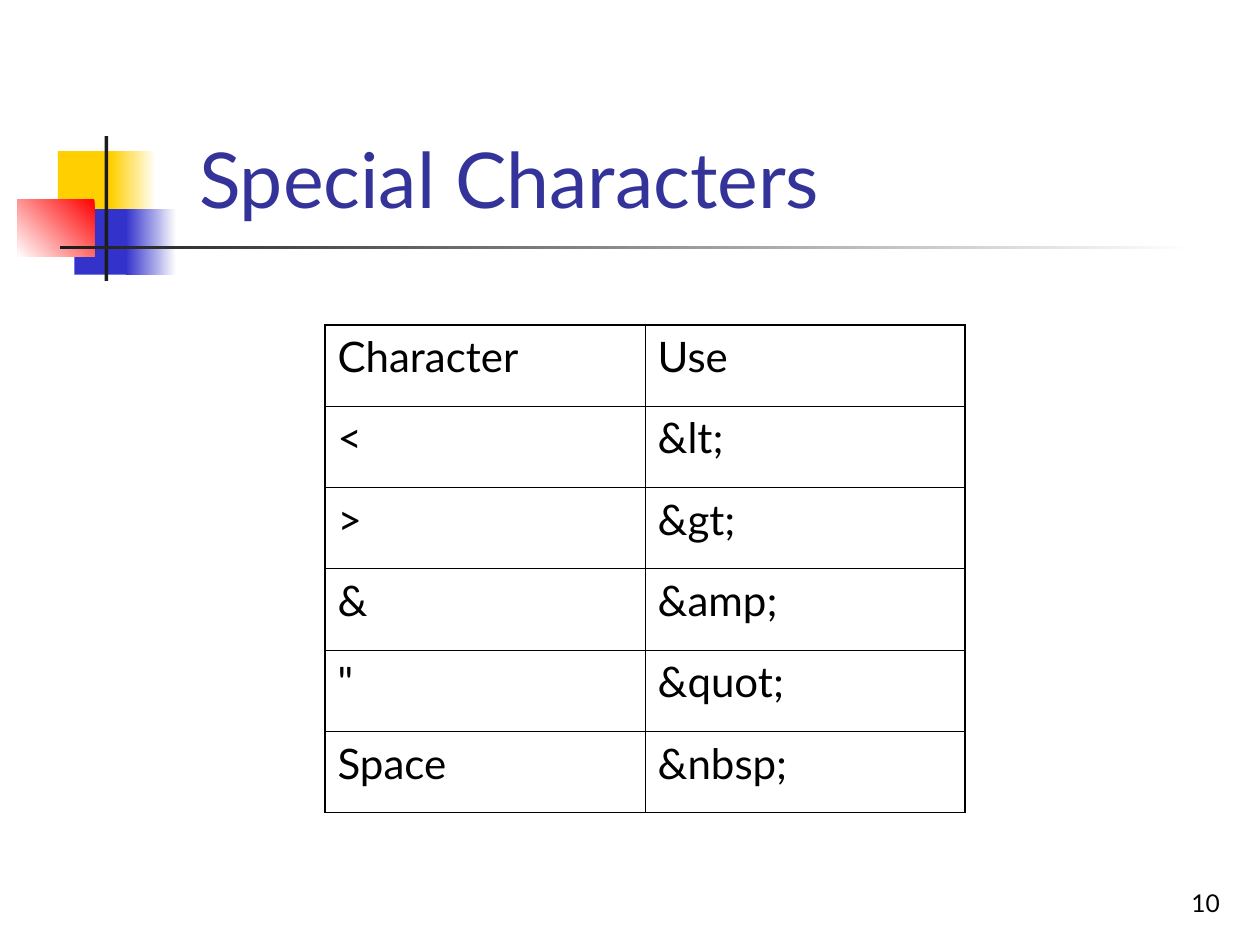
from lxml.etree import SubElement
from pptx import Presentation
from pptx.dml.color import RGBColor
from pptx.enum.shapes import MSO_SHAPE
from pptx.enum.text import MSO_ANCHOR, MSO_AUTO_SIZE, PP_ALIGN
from pptx.oxml.ns import qn
from pptx.util import Inches, Pt

FONT = "Lato"
YELLOW, BLUE, RED = "FFCF01", "3333CC", "FF0000"
BLACK, CHARCOAL, WHITE, TITLE_BLUE = "000000", "1C1C1C", "FFFFFF", "333399"
OUTER_BORDER, INNER_BORDER = Pt(1.08), Pt(0.45)

ORNAMENT = [
    ((0.46, 1.2, 0.48, 0.52), [YELLOW], 0),
    ((0.88, 1.2, 0.36, 0.52), [WHITE, YELLOW], 180),
    ((0.59, 1.66, 0.46, 0.52), [BLUE], 0),
    ((1, 1.66, 0.4, 0.52), [WHITE, BLUE], 180),
    ((0.14, 1.58, 0.61, 0.46), [RED, WHITE], 225),
    ((0.83, 1.08, 0.03, 1.15), [CHARCOAL], 0),
    ((0.48, 1.95, 9, 0.03), [WHITE, CHARCOAL], 180),
]

CHARACTERS = [
    ("Character", "Use"),
    ("<", "&lt;"),
    (">", "&gt;"),
    ("&", "&amp;"),
    ('"', "&quot;"),
    ("Space", "&nbsp;"),
]


def color(hex_value):
    return RGBColor.from_string(hex_value)


def apply(target, values):
    for name, value in values.items():
        setattr(target, name, value)


def write(frame, text, size, hex_value, **paragraph_format):
    frame.text = text
    paragraph = frame.paragraphs[0]
    apply(paragraph, paragraph_format)
    font = paragraph.runs[0].font
    apply(font, {"name": FONT, "size": Pt(size), "bold": False})
    font.color.rgb = color(hex_value)


def add_block(slide, box, colors, angle):
    block = slide.shapes.add_shape(MSO_SHAPE.RECTANGLE, *map(Inches, box))
    block.shadow.inherit = False
    block.line.fill.background()
    if len(colors) == 1:
        block.fill.solid()
        block.fill.fore_color.rgb = color(colors[0])
        return
    block.fill.gradient()
    block.fill.gradient_angle = angle
    for stop, hex_value in zip(block.fill.gradient_stops, colors):
        stop.color.rgb = color(hex_value)


def set_title(slide, text):
    title = slide.shapes.title
    apply(title, {"left": Inches(1.48), "top": Inches(0.23),
                  "width": Inches(8.52), "height": Inches(1.6)})
    apply(title.text_frame, {"vertical_anchor": MSO_ANCHOR.BOTTOM,
                             "auto_size": MSO_AUTO_SIZE.NONE, "word_wrap": True})
    write(title.text_frame, text, 44, TITLE_BLUE, alignment=PP_ALIGN.LEFT)


def set_borders(cell, outer_sides):
    properties = cell._tc.get_or_add_tcPr()
    for index, (side, is_outer) in enumerate(outer_sides.items()):
        width = OUTER_BORDER if is_outer else INNER_BORDER
        border = SubElement(properties, qn(f"a:ln{side}"), w=str(int(width)))
        fill = SubElement(border, qn("a:solidFill"))
        SubElement(fill, qn("a:srgbClr"), val=BLACK)
        properties.insert(index, border)


def add_grid(slide, rows):
    last_row, last_column = len(rows) - 1, len(rows[0]) - 1
    frame = slide.shapes.add_table(len(rows), len(rows[0]), Inches(2.58), Inches(2.58),
                                   Inches(5.08), Inches(3.87))
    apply(frame.table, {"first_row": False, "horz_banding": False})
    for row, entries in enumerate(rows):
        for column, entry in enumerate(entries):
            cell = frame.table.cell(row, column)
            cell.fill.background()
            write(cell.text_frame, entry, 24, BLACK, space_before=Pt(6))
            set_borders(cell, {"L": column == 0, "R": column == last_column,
                               "T": row == 0, "B": row == last_row})


def add_page_number(slide, number):
    box = slide.shapes.add_textbox(Inches(7.7), Inches(6.83), Inches(2.08), Inches(0.5))
    apply(box.text_frame, {"vertical_anchor": MSO_ANCHOR.BOTTOM, "word_wrap": True})
    write(box.text_frame, number, 14, BLACK, alignment=PP_ALIGN.RIGHT)


def main():
    presentation = Presentation()
    apply(presentation, {"slide_width": Inches(10), "slide_height": Inches(7.5)})
    slide = presentation.slides.add_slide(presentation.slide_layouts[5])
    for box, colors, angle in ORNAMENT:
        add_block(slide, box, colors, angle)
    set_title(slide, "Special Characters")
    add_grid(slide, CHARACTERS)
    add_page_number(slide, "10")
    presentation.save("out.pptx")


if __name__ == "__main__":
    main()
